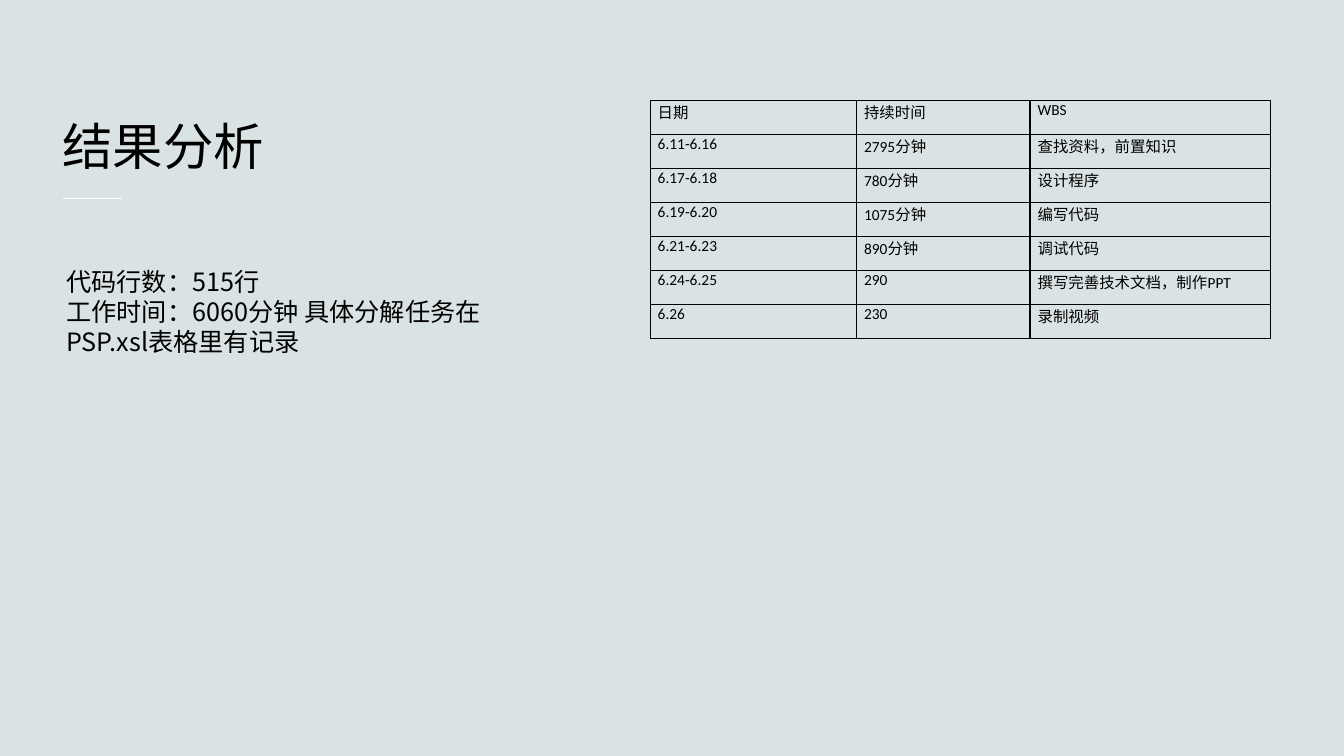
from lxml import etree
from pptx import Presentation
from pptx.dml.color import RGBColor
from pptx.enum.shapes import MSO_CONNECTOR
from pptx.enum.text import MSO_ANCHOR, PP_ALIGN
from pptx.oxml.ns import qn
from pptx.util import Pt

STRAIGHT = MSO_CONNECTOR.STRAIGHT
BOTTOM = MSO_ANCHOR.BOTTOM
LEFT, JUSTIFY = PP_ALIGN.LEFT, PP_ALIGN.JUSTIFY
CJK = "Noto Sans CJK SC"
BORDER = "000008"


def rgb(value):
    return RGBColor.from_string(value)


def set_font(p, name, size):
    p.font.name = name
    p.font.size = Pt(size)
    p.font.color.rgb = rgb("000000")
    latin = p.font._element.find(qn("a:latin"))
    ea = etree.Element(qn("a:ea"), typeface=CJK)
    latin.addnext(ea)


prs = Presentation()
prs.slide_width, prs.slide_height = Pt(960), Pt(540)
s = prs.slides.add_slide(prs.slide_layouts[5])
s.background.fill.solid()
s.background.fill.fore_color.rgb = rgb("DAE3E3")

line = s.shapes.add_connector(STRAIGHT, Pt(45), Pt(141.6), Pt(87.5), Pt(141.6))
line.line.color.rgb = rgb("FFFFFF")
line.line.width = Pt(1)
etree.SubElement(line._element.spPr, qn("a:effectLst"))

title = s.shapes.title
title.left, title.top, title.width, title.height = Pt(44.6), Pt(31.7), Pt(870), Pt(93.6)
tf = title.text_frame
tf.margin_left = tf.margin_bottom = 0
tf.vertical_anchor = BOTTOM
p = tf.paragraphs[0]
p.text = "结果分析"
p.alignment = LEFT
set_font(p, CJK, 36)

summary = s.shapes.add_textbox(Pt(40.3), Pt(187.2), Pt(320), Pt(72.7))
tf = summary.text_frame
tf.word_wrap = True
tf.text = "代码行数：515行\n工作时间：6060分钟 具体分解任务在PSP.xsl表格里有记录"
for p in tf.paragraphs:
    p.line_spacing = Pt(21.4)
    set_font(p, CJK, 18)

rows = [
    ("日期", "持续时间", "WBS"),
    ("6.11-6.16", "2795分钟", "查找资料，前置知识"),
    ("6.17-6.18", "780分钟", "设计程序"),
    ("6.19-6.20", "1075分钟", "编写代码"),
    ("6.21-6.23", "890分钟", "调试代码"),
    ("6.24-6.25", "290", "撰写完善技术文档，制作PPT"),
    ("6.26", "230", "录制视频"),
]
widths = [147.4, 124, 171.6]
row_height = 24.3
table = s.shapes.add_table(
    len(rows), len(widths), Pt(464.4), Pt(71.8), Pt(sum(widths)), Pt(row_height * len(rows))
).table
table.first_row = table.horz_banding = False
for column, width in zip(table.columns, widths):
    column.width = Pt(width)

for i, row in enumerate(rows):
    table.rows[i].height = Pt(row_height)
    for j, text in enumerate(row):
        cell = table.cell(i, j)
        cell.fill.background()
        cell.margin_left = cell.margin_right = Pt(5.4)
        cell.margin_top = cell.margin_bottom = 0
        p = cell.text_frame.paragraphs[0]
        p.text = text
        p.alignment = JUSTIFY
        set_font(p, "Calibri", 11)
        tcPr = cell._tc.get_or_add_tcPr()
        for k, side in enumerate(("lnL", "lnR", "lnT", "lnB")):
            outer = (side == "lnL" and j == 0) or (side == "lnT" and i == 0)
            ln = etree.Element(qn(f"a:{side}"), w=str(Pt(0.5 if outer else 1)))
            fill = etree.SubElement(ln, qn("a:solidFill"))
            etree.SubElement(fill, qn("a:srgbClr"), val=BORDER)
            tcPr.insert(k, ln)

prs.save("out.pptx")
